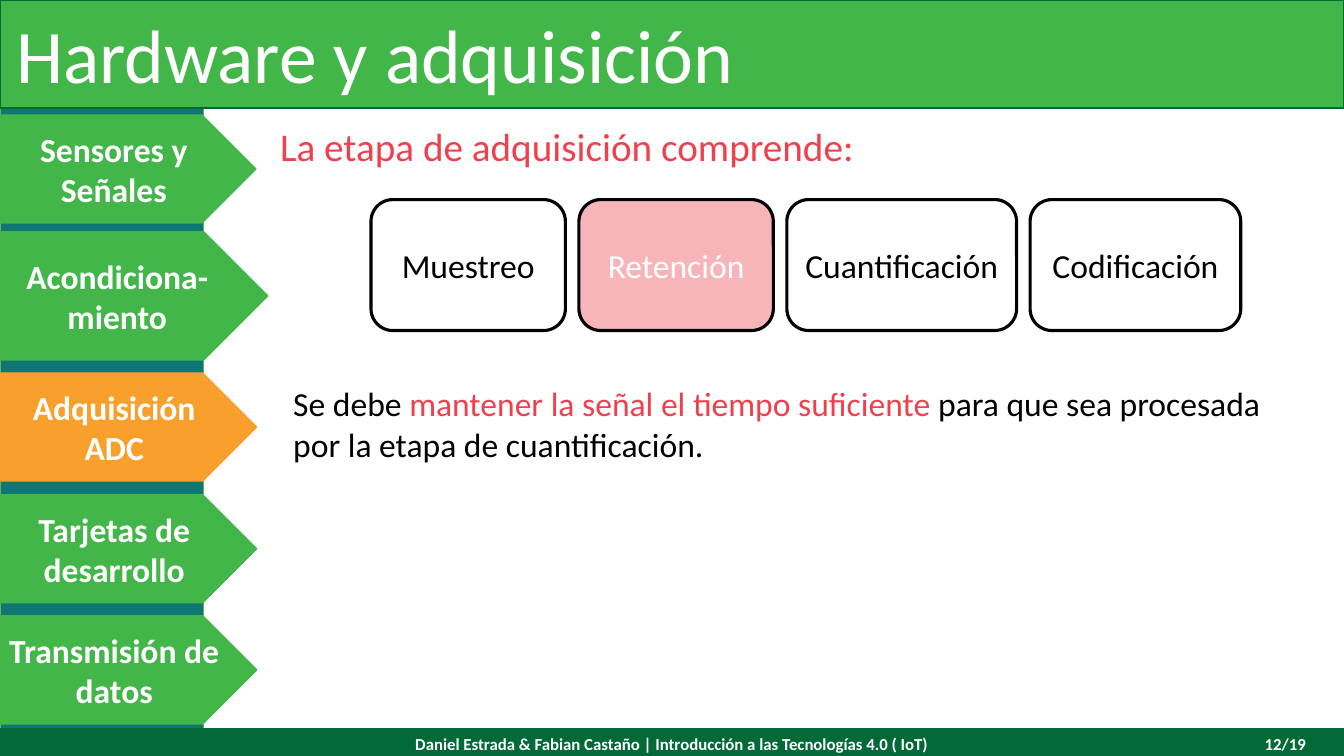
from pptx import Presentation
from pptx.dml.color import RGBColor
from pptx.enum.shapes import MSO_SHAPE as Shape
from pptx.enum.text import MSO_ANCHOR as Anchor, PP_ALIGN as Align
from pptx.oxml.ns import qn
from pptx.util import Cm, Pt
from lxml.etree import SubElement

COLORS = {
    "white": "FFFFFF", "black": "000000", "green": "43B649", "dark_green": "026937",
    "teal": "0E7774", "light_green": "70AD47", "orange": "F8A02B", "red": "EE414D",
}
FONT = "Calibri"
SLIDE_WIDTH, SLIDE_HEIGHT = 33.87, 19.05

TITLE = "Hardware y adquisición"
HEADING = "La etapa de adquisición comprende:"
EXPLANATION = [
    ("Se debe ", "black"),
    ("mantener la señal el tiempo suficiente", "red"),
    (" para que sea procesada por la etapa de cuantificación.", "black"),
]
FOOTER = "Daniel Estrada & Fabian Castaño | Introducción a las Tecnologías 4.0 ( IoT)"
PAGE_NUMBER = "12/19"

# Text, top, width, height, colour
STAGES = [
    ("Sensores y Señales", 2.9, 6.48, 2.72, "green"),
    ("Acondiciona-miento", 5.84, 6.78, 3.23, "green"),
    ("Adquisición ADC", 9.4, 6.5, 2.72, "orange"),
    ("Tarjetas de desarrollo", 12.47, 6.5, 2.72, "green"),
    ("Transmisión de datos", 15.52, 6.5, 2.72, "green"),
]
STAGE_LEFT = -0.03

# Text, width, active
STEPS = [
    ("Muestreo", 4.9, False),
    ("Retención", 4.9, True),
    ("Cuantificación", 5.79, False),
    ("Codificación", 5.31, False),
]
STEP_LEFT, STEP_TOP, STEP_HEIGHT, STEP_GAP = 9.35, 5.03, 3.3, 0.34
ACTIVE_OPACITY = 39

FOOTER_TOP, FOOTER_HEIGHT = 18.36, 0.76


def rgb(color):
    return RGBColor.from_string(COLORS[color])


def write(box, spans, align=Align.CENTER, wrap=True, **font):
    """Fill a box with one paragraph of (text, colour) spans."""
    box.text_frame.word_wrap = wrap
    para = box.text_frame.paragraphs[0]
    para.alignment = align
    for text, color in spans:
        span = para.add_run()
        span.text = text
        for name, value in {"name": FONT, **font}.items():
            setattr(span.font, name, value)
        span.font.color.rgb = rgb(color)


def add_box(slide, kind, frame, fill, line, line_width=1):
    box = slide.shapes.add_shape(kind, *map(Cm, frame))
    box.shadow.inherit = False
    box.fill.solid()
    box.fill.fore_color.rgb = rgb(fill)
    box.line.color.rgb = rgb(line)
    box.line.width = Pt(line_width)
    box.text_frame.vertical_anchor = Anchor.MIDDLE
    return box


def add_text(slide, frame, spans, **style):
    write(slide.shapes.add_textbox(*map(Cm, frame)), spans, **style)


def set_opacity(box, percent):
    color = box.fill._xPr.find(qn("a:solidFill"))[0]
    SubElement(color, qn("a:alpha")).set("val", str(percent * 1000))


def add_frame(slide):
    """Draw the side band, the title bar and the footer."""
    add_box(slide, Shape.RECTANGLE, (0, 0, 5.13, SLIDE_HEIGHT), "teal", "light_green")
    add_box(slide, Shape.RECTANGLE, (0, 0, SLIDE_WIDTH, 2.72), "green", "dark_green")
    footer = add_box(slide, Shape.RECTANGLE, (0, FOOTER_TOP, SLIDE_WIDTH, FOOTER_HEIGHT),
                     "dark_green", "dark_green", 0.75)
    small = {"size": Pt(12), "bold": True}
    write(footer, [(FOOTER, "white")], **small)
    add_text(slide, (31.55, FOOTER_TOP, 1.68, FOOTER_HEIGHT), [(PAGE_NUMBER, "white")], **small)
    add_text(slide, (0.05, 0.08, 18.8, 2.57), [(TITLE, "white")], wrap=False, size=Pt(54))


def add_stages(slide):
    for text, top, width, height, color in STAGES:
        arrow = add_box(slide, Shape.PENTAGON, (STAGE_LEFT, top, width, height), color, color)
        write(arrow, [(text, "white")], size=Pt(24), bold=True)


def add_steps(slide):
    left = STEP_LEFT
    for text, width, active in STEPS:
        step = add_box(slide, Shape.ROUNDED_RECTANGLE, (left, STEP_TOP, width, STEP_HEIGHT),
                       "red" if active else "white", "black", 2.25)
        if active:
            set_opacity(step, ACTIVE_OPACITY)
        write(step, [(text, "white" if active else "black")], size=Pt(24))
        left += width + STEP_GAP


def main():
    deck = Presentation()
    deck.slide_width, deck.slide_height = Cm(SLIDE_WIDTH), Cm(SLIDE_HEIGHT)
    slide = deck.slides.add_slide(deck.slide_layouts[6])
    add_frame(slide)
    add_stages(slide)
    add_text(slide, (6.81, 2.95, 26.7, 1.45), [(HEADING, "red")], align=Align.LEFT, size=Pt(28))
    add_steps(slide)
    add_text(slide, (7.14, 9.53, 25.96, 2.31), EXPLANATION, align=Align.LEFT, size=Pt(24))
    deck.save("out.pptx")


if __name__ == "__main__":
    main()
